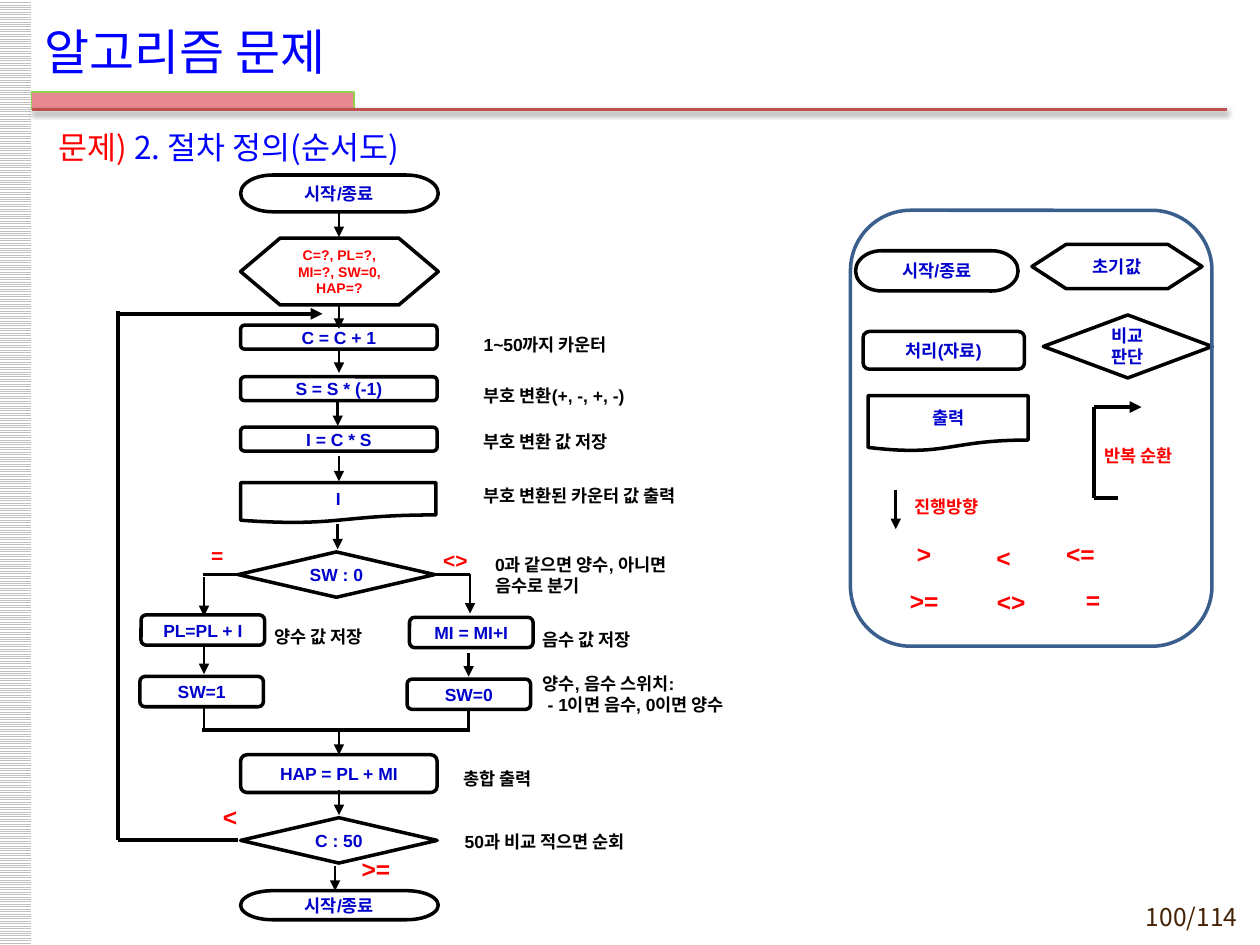
from lxml import etree
from pptx import Presentation
from pptx.dml import color as dml
from pptx.enum import dml as patterns, shapes, text
from pptx.oxml import ns, parse_xml
from pptx.util import Pt

BLACK = dml.RGBColor(0x00, 0x00, 0x00)
WHITE = dml.RGBColor(0xFF, 0xFF, 0xFF)
RED = dml.RGBColor(0xFF, 0x00, 0x00)
BLUE = dml.RGBColor(0x00, 0x00, 0xFF)
STEP_BLUE = dml.RGBColor(0x00, 0x00, 0xCC)
FRAME_BLUE = dml.RGBColor(0x3A, 0x5F, 0x8C)
PINK = dml.RGBColor(0xEA, 0x88, 0x92)
GREEN = dml.RGBColor(0x92, 0xD0, 0x50)
RULE_RED = dml.RGBColor(0xC0, 0x50, 0x4D)
GREY = dml.RGBColor(0xC0, 0xC0, 0xC0)
BROWN = dml.RGBColor(0x45, 0x21, 0x03)

LATIN, KOREAN = "Arial", "Noto Sans CJK KR"
KIND = shapes.MSO_SHAPE
START, INIT = KIND.FLOWCHART_TERMINATOR, KIND.FLOWCHART_PREPARATION
PROCESS, OUTPUT = KIND.FLOWCHART_ALTERNATE_PROCESS, KIND.FLOWCHART_DOCUMENT
DECISION = KIND.FLOWCHART_DECISION
LEFT, CENTER, RIGHT = text.PP_ALIGN.LEFT, text.PP_ALIGN.CENTER, text.PP_ALIGN.RIGHT
TOP, MIDDLE = text.MSO_ANCHOR.TOP, text.MSO_ANCHOR.MIDDLE

STEPS = [
    (START, 137.5, 100, 113, 21, "시작/종료"),
    (PROCESS, 137.5, 185.8, 112.3, 13.7, "C = C + 1"),
    (PROCESS, 137.5, 215.3, 112.3, 13.7, "S = S * (-1)"),
    (PROCESS, 137.5, 244.1, 112.3, 13.7, "I = C * S"),
    (OUTPUT, 137.5, 275.8, 111.6, 23, "I"),
    (DECISION, 136.1, 315.4, 112.3, 25.9, "SW : 0"),
    (PROCESS, 80.6, 351.4, 70.6, 17.3, "PL=PL + I"),
    (PROCESS, 234, 352.8, 70.6, 17.3, "MI = MI+I"),
    (PROCESS, 79.9, 386.6, 70.6, 17.3, "SW=1"),
    (PROCESS, 232.6, 388.1, 70.6, 17.3, "SW=0"),
    (PROCESS, 137.5, 431.3, 112.3, 21.6, "HAP = PL + MI"),
    (DECISION, 137.5, 467.3, 112.3, 25.9, "C : 50"),
    (START, 137.5, 509, 113, 16.6, "시작/종료"),
]
LEGEND = [
    (START, 488.9, 143.3, 92.9, 23, "시작/종료"),
    (INIT, 589.7, 139.7, 97.2, 25.2, "초기값"),
    (PROCESS, 493.2, 189.4, 92.2, 21.6, "처리(자료)"),
    (DECISION, 596.2, 180, 96.5, 36, "비교\n판단"),
    (OUTPUT, 496.1, 226.1, 91.4, 31.7, "출력"),
]
NOTES = [
    (269.3, 180, 93.6, 23.8, "1~50까지 카운터"),
    (269.3, 209.5, 111.6, 23.8, "부호 변환(+, -, +, -)"),
    (269.3, 235.4, 95.8, 26.6, "부호 변환 값 저장"),
    (269.3, 266.4, 139.7, 26.6, "부호 변환된 카운터 값 출력"),
    (149.8, 347, 72, 26.6, "양수 값 저장"),
    (303.1, 348.5, 72, 26.6, "음수 값 저장"),
    (257.8, 428.4, 58.3, 26.6, "총합 출력"),
    (258.5, 464.4, 117.4, 26.6, "50과 비교 적으면 순회"),
]
BRANCH_NOTES = [
    (275.8, 313.2, 124.6, 31.7, "0과 같으면 양수, 아니면\n음수로 분기"),
    (303.1, 380.9, 131.8, 31.7, "양수, 음수 스위치:\n - 1이면 음수, 0이면 양수"),
]
SIGNS = [
    (108.7, 306.7, 31, 12, "="), (237.6, 309.6, 45.4, 12, "<>"),
    (108.7, 455, 45.4, 14, "<"), (192.2, 484.6, 45.4, 14, ">="),
    (505.4, 304.6, 45.4, 14, ">"), (550.8, 306.7, 45.4, 14, "<"),
    (594.7, 304.6, 45.4, 14, "<="), (505.4, 331.2, 45.4, 14, ">="),
    (555.1, 331.9, 45.4, 14, "<>"), (601.9, 330.5, 45.4, 14, "="),
]
DOWN_ARROWS = [
    (193.7, 121, 135.4), (193.7, 173.5, 187.9), (193.7, 199.4, 213.1),
    (193, 229.7, 243.4), (193.7, 260.6, 275), (193, 299.5, 313.9),
    (116.6, 329.8, 352.1), (268.6, 328.3, 350.6), (116.6, 369.4, 385.2),
    (267.8, 373, 386.6), (193.7, 416.9, 431.3), (193.7, 451.4, 465.8),
    (191.5, 494.6, 509), (511.9, 280.1, 302.4),
]
THICK_LINES = [
    (67.7, 177.8, 67.7, 480.2), (67.7, 480.2, 136.1, 480.2),
    (116, 328.3, 136.1, 328.3), (248.4, 328.3, 268.6, 328.3),
    (115.2, 416.9, 268.6, 416.9),
    (625, 232.6, 625, 284.4), (625, 284.4, 638.6, 284.4),
]


def add_words(paragraph, words, size=10, color=BLACK, bold=True, face=LATIN):
    """Append one formatted run to a paragraph."""
    run = paragraph.add_run()
    run.text = words
    font = run.font
    font.size, font.bold, font.name = Pt(size), bold, face
    font.color.rgb = color
    etree.SubElement(run._r.rPr, ns.qn("a:ea")).set("typeface", KOREAN)


def write(frame, words, align=LEFT, spacing=None, anchor=TOP, **font):
    """Fill a text frame, one paragraph for each line."""
    frame.vertical_anchor = anchor
    for index, line in enumerate(words.split("\n")):
        paragraph = frame.add_paragraph() if index else frame.paragraphs[0]
        paragraph.alignment = align
        if spacing:
            paragraph.line_spacing = spacing
        add_words(paragraph, line, **font)


def add_label(slide, x, y, w, h, words, wrap=False, **style):
    """Add a text box and return its text frame."""
    frame = slide.shapes.add_textbox(Pt(x), Pt(y), Pt(w), Pt(h)).text_frame
    frame.word_wrap = wrap
    write(frame, words, **style)
    return frame


def add_outline(slide, kind, x, y, w, h, color=BLACK, weight=2):
    """Add an unfilled preset shape with a plain outline."""
    outline = slide.shapes.add_shape(kind, Pt(x), Pt(y), Pt(w), Pt(h))
    outline.shadow.inherit = False
    outline.fill.background()
    outline.line.color.rgb = color
    outline.line.width = Pt(weight)
    return outline


def add_step(slide, kind, x, y, w, h, words, size=10, color=STEP_BLUE):
    """Add a flowchart symbol with centred text."""
    step = add_outline(slide, kind, x, y, w, h)
    write(step.text_frame, words, align=CENTER, anchor=MIDDLE, size=size, color=color)


def add_stroke(slide, x1, y1, x2, y2, weight=2.25, color=BLACK, arrow=False):
    """Add a straight line and return its empty effect list."""
    stroke = slide.shapes.add_connector(
        shapes.MSO_CONNECTOR.STRAIGHT, Pt(x1), Pt(y1), Pt(x2), Pt(y2))
    stroke.line.color.rgb = color
    stroke.line.width = Pt(weight)
    if arrow:
        head = etree.SubElement(stroke.line._get_or_add_ln(), ns.qn("a:tailEnd"))
        head.set("type", "triangle")
    return etree.SubElement(stroke._element.spPr, ns.qn("a:effectLst"))


def add_decoration(slide):
    """Draw the striped edge, the title rule and the page number."""
    edge = add_outline(slide, KIND.RECTANGLE, -0.7, 0, 18.7, 540)
    edge.line.fill.background()
    edge.fill.patterned()
    edge.fill.pattern = patterns.MSO_PATTERN.LIGHT_HORIZONTAL
    edge.fill.fore_color.rgb, edge.fill.back_color.rgb = GREY, WHITE
    accent = add_outline(slide, KIND.RECTANGLE, 18, 52.6, 184.3, 10, GREEN, 0.75)
    accent.fill.solid()
    accent.fill.fore_color.rgb = PINK
    effects = add_stroke(slide, 18, 62.6, 701.3, 62.6, 2, RULE_RED)
    effects.append(parse_xml(
        f'<a:outerShdw {ns.nsdecls("a")} blurRad="{Pt(3.1)}" dist="{Pt(1.6)}" '
        'dir="5400000" rotWithShape="0"><a:srgbClr val="000000">'
        '<a:alpha val="38000"/></a:srgbClr></a:outerShdw>'))
    add_label(slide, 637.9, 513.4, 76.3, 20.9, "100/114", align=RIGHT,
              anchor=MIDDLE, size=14, color=BROWN, bold=False, face=KOREAN)


def add_headings(slide):
    """Set the title and the problem heading."""
    title = slide.shapes.title
    title.left, title.top, title.width, title.height = Pt(18), Pt(6.5), Pt(595.4), Pt(45.4)
    write(title.text_frame, "알고리즘 문제", anchor=MIDDLE, size=28,
          color=BLUE, bold=False, face=KOREAN)
    heading_font = dict(size=18, bold=False, face=KOREAN)
    heading = add_label(slide, 26.6, 56.9, 233.3, 42.5, "문제) ", spacing=1.6,
                        color=RED, **heading_font)
    add_words(heading.paragraphs[0], "2. 절차 정의(순서도) ", color=BLUE, **heading_font)


def main():
    """Build the flowchart slide and save it."""
    deck = Presentation()
    deck.slide_width, deck.slide_height = Pt(720), Pt(540)
    slide = deck.slides.add_slide(deck.slide_layouts[5])
    add_decoration(slide)
    add_headings(slide)
    for step in STEPS + LEGEND:
        add_step(slide, *step)
    add_step(slide, INIT, 137.5, 136.1, 113, 38.2,
             "C=?, PL=?,\nMI=?, SW=0, HAP=?", size=8, color=RED)
    for line in THICK_LINES:
        add_stroke(slide, *line)
    add_stroke(slide, 67.7, 179.3, 184.3, 179.3, arrow=True)
    add_stroke(slide, 625, 232.6, 652.3, 232.6, arrow=True)
    for x, top, bottom in DOWN_ARROWS:
        add_stroke(slide, x, top, x, bottom, weight=1.5, arrow=True)
    for x, top in ((116.6, 404.6), (267.8, 405.4)):
        add_stroke(slide, x, top, x, 416.9, weight=1.5)
    for note in NOTES:
        add_label(slide, *note, spacing=1.6)
    for note in BRANCH_NOTES:
        add_label(slide, *note)
    add_label(slide, 624.2, 250.6, 59, 19.4, "반복 순환", wrap=True, color=RED)
    add_label(slide, 515.5, 280.1, 56.2, 19.4, "진행방향", wrap=True, color=RED)
    for x, y, width, size, sign in SIGNS:
        add_label(slide, x, y, width, size + 10, sign, wrap=True,
                  align=CENTER, size=size, color=RED)
    add_outline(slide, KIND.ROUNDED_RECTANGLE, 486, 120.2, 206.6, 249.1, FRAME_BLUE)
    deck.save("out.pptx")


if __name__ == "__main__":
    main()
